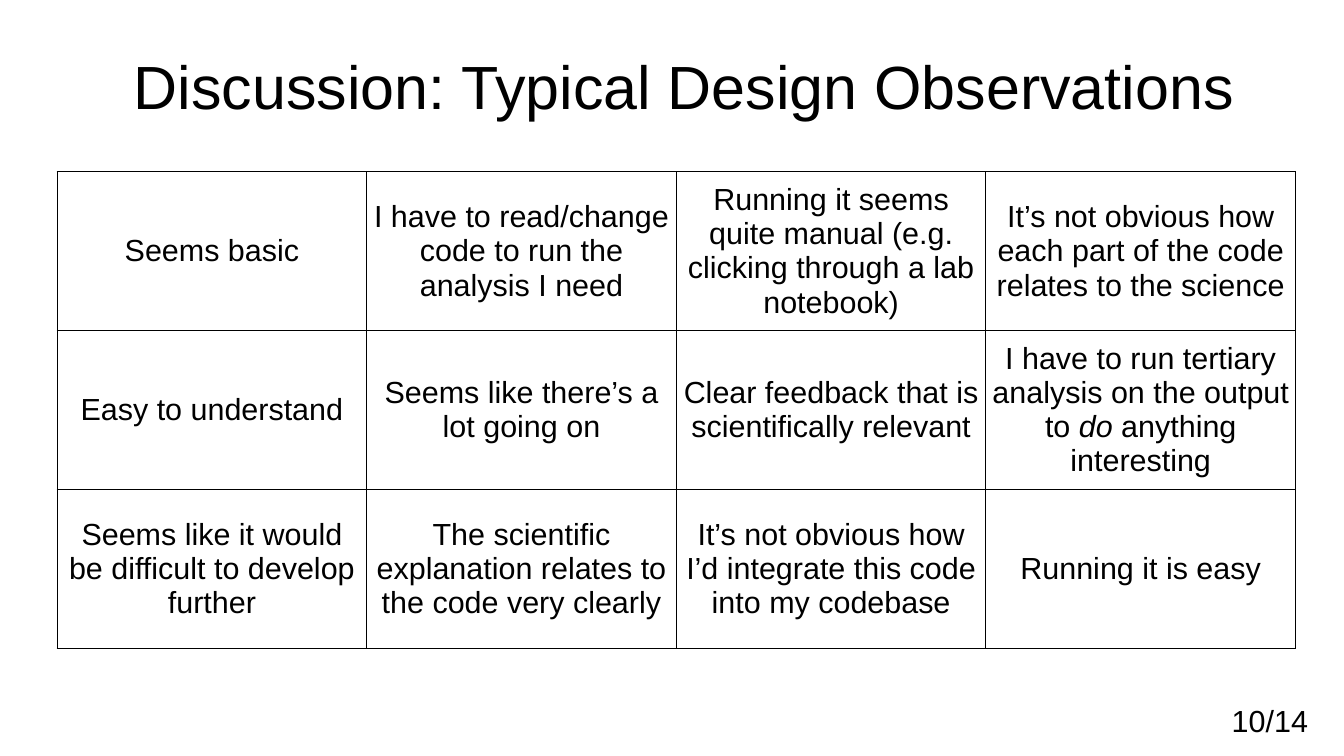
from lxml.etree import SubElement
from pptx import Presentation
from pptx.dml.color import RGBColor
from pptx.enum.text import MSO_ANCHOR as Anchor, PP_ALIGN as Align
from pptx.oxml.ns import qn
from pptx.util import Cm, Pt

TITLE = "Discussion: Typical Design Observations"
PAGE = "10/14"
EMPHASIS = "do"
OBSERVATIONS = [
    ["Seems basic",
     "I have to read/change code to run the analysis I need",
     "Running it seems quite manual (e.g. clicking through a lab notebook)",
     "It’s not obvious how each part of the code relates to the science"],
    ["Easy to understand",
     "Seems like there’s a lot going on",
     "Clear feedback that is scientifically relevant",
     ("I have to run tertiary analysis on the output to ", EMPHASIS, " anything interesting")],
    ["Seems like it would be difficult to develop further",
     "The scientific explanation relates to the code very clearly",
     "It’s not obvious how I’d integrate this code into my codebase",
     "Running it is easy"],
]
COLORS = {"text": "000000", "border": "000000"}
FONT = "Arial"
COLUMN_WIDTH, ROW_HEIGHT = 6.45, 3.31
BORDER_WIDTH = Pt(0.57)


def write(frame, content, size, align):
    parts = [content] if isinstance(content, str) else content
    frame.word_wrap = True
    paragraph = frame.paragraphs[0]
    paragraph.alignment = align
    for part in parts:
        run = paragraph.add_run()
        run.text = part
        run.font.name = FONT
        run.font.size = Pt(size)
        run.font.italic = part == EMPHASIS
        run.font.color.rgb = RGBColor.from_string(COLORS["text"])


def set_margins(holder, horizontal, vertical):
    holder.margin_left = holder.margin_right = Cm(horizontal)
    holder.margin_top = holder.margin_bottom = Cm(vertical)


def add_borders(cell):
    properties = cell._tc.get_or_add_tcPr()
    for side in ("a:lnL", "a:lnR", "a:lnT", "a:lnB"):
        line = SubElement(properties, qn(side), w=str(BORDER_WIDTH))
        fill = SubElement(line, qn("a:solidFill"))
        SubElement(fill, qn("a:srgbClr"), val=COLORS["border"])


def add_observations(slide):
    rows, columns = len(OBSERVATIONS), len(OBSERVATIONS[0])
    grid = slide.shapes.add_table(rows, columns, Cm(1.19), Cm(3.58),
                                  Cm(columns * COLUMN_WIDTH), Cm(rows * ROW_HEIGHT)).table
    grid.first_row = grid.horz_banding = False
    for column in grid.columns:
        column.width = Cm(COLUMN_WIDTH)
    for row, observations in zip(grid.rows, OBSERVATIONS):
        row.height = Cm(ROW_HEIGHT)
        for cell, observation in zip(row.cells, observations):
            add_borders(cell)
            cell.fill.background()
            cell.vertical_anchor = Anchor.MIDDLE
            set_margins(cell, 0.1, 0.13)
            write(cell.text_frame, observation, 18, Align.CENTER)


def main():
    """Build the slide of design observations and save it."""
    deck = Presentation()
    deck.slide_width, deck.slide_height = Cm(28), Cm(15.75)
    slide = deck.slides.add_slide(deck.slide_layouts[6])

    title = slide.shapes.add_textbox(Cm(1), Cm(0.56), Cm(26.5), Cm(2.44)).text_frame
    set_margins(title, 0, 0)
    title.vertical_anchor = Anchor.MIDDLE
    write(title, TITLE, 36, Align.CENTER)

    page = slide.shapes.add_textbox(Cm(24.5), Cm(14.5), Cm(3), Cm(1.68)).text_frame
    set_margins(page, 0.25, 0.13)
    write(page, PAGE, 18, Align.RIGHT)

    add_observations(slide)
    deck.save("out.pptx")


if __name__ == "__main__":
    main()
